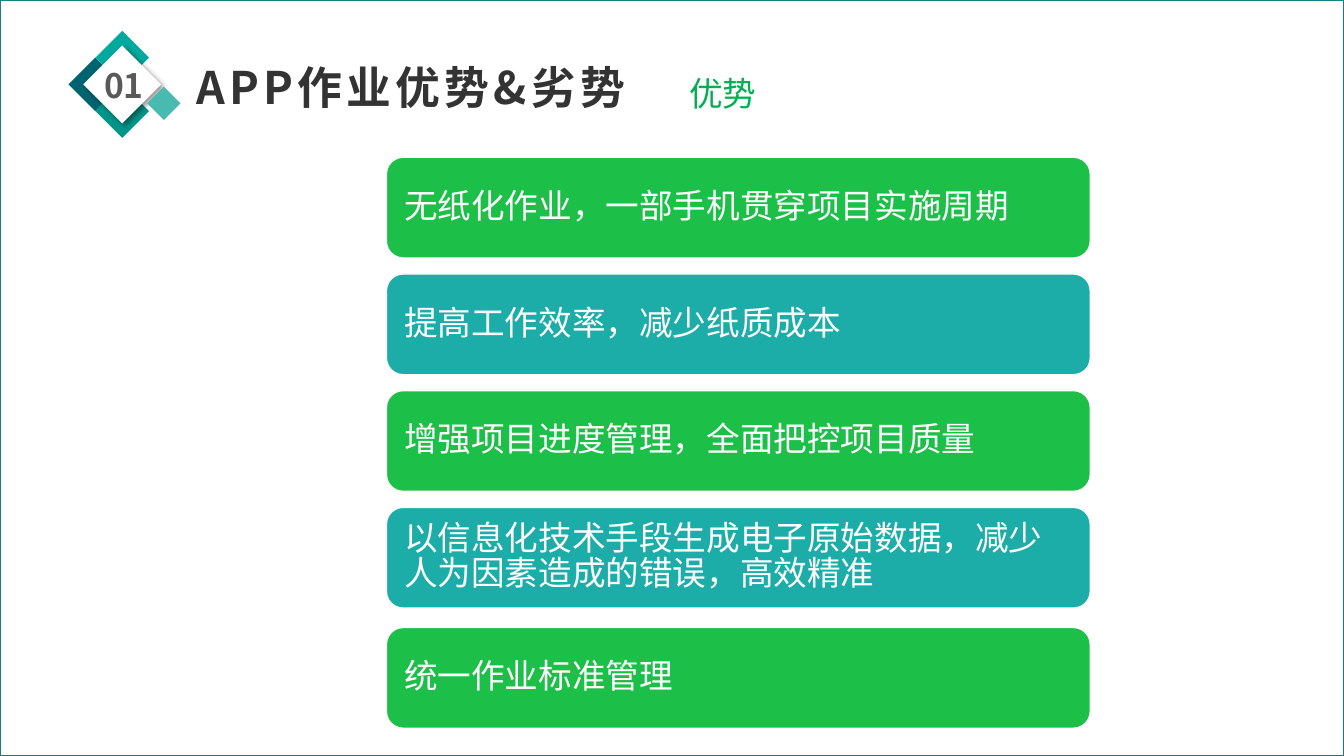
from lxml.etree import SubElement
from pptx import Presentation
from pptx.dml.color import RGBColor
from pptx.enum.shapes import MSO_SHAPE as Preset
from pptx.enum.text import MSO_ANCHOR as Anchor, PP_ALIGN as Align
from pptx.oxml.ns import qn
from pptx.util import Pt

WHITE = RGBColor(0xFF, 0xFF, 0xFF)
FRAME = RGBColor(0x15, 0x80, 0x7D)
DARK_TEAL = RGBColor(0x00, 0x64, 0x70)
TEAL = RGBColor(0x00, 0xA9, 0x9D)
MID_TEAL = RGBColor(0x00, 0x95, 0x89)
LIGHT_TEAL = RGBColor(0x49, 0xBA, 0xAF)
NUMBER_GRAY = RGBColor(0x59, 0x59, 0x59)
TITLE_GRAY = RGBColor(0x33, 0x33, 0x33)
SUBTITLE_GREEN = RGBColor(0x00, 0xB0, 0x50)
BAR_GREEN = RGBColor(0x1C, 0xBF, 0x47)
BAR_TEAL = RGBColor(0x1C, 0xAD, 0xA9)

WIDTH, HEIGHT = 960, 540

DIAMONDS = [
    (68, 60.3, 38.2, DARK_TEAL),
    (87.3, 41.2, 38.2, TEAL),
    (87.3, 79.4, 38.2, MID_TEAL),
    (87.3, 60.3, 55.6, WHITE),
    (117.1, 73.9, 23.8, LIGHT_TEAL),
]

ADVANTAGES = [
    (112.3, "无纸化作业，一部手机贯穿项目实施周期", 0.9),
    (195.7, "提高工作效率，减少纸质成本", 0.9),
    (279, "增强项目进度管理，全面把控项目质量", 0.9),
    (362.4, "以信息化技术手段生成电子原始数据，减少人为因素造成的错误，高效精准", 0.85),
    (448.2, "统一作业标准管理", 0.9),
]


class SlideBuilder:
    font_name = "Noto Sans CJK SC"

    def __init__(self, slide):
        self.slide = slide

    def shape(self, preset, left, top, width, height, fill, line=None):
        shape = self.slide.shapes.add_shape(preset, Pt(left), Pt(top), Pt(width), Pt(height))
        shape.shadow.inherit = False
        shape.fill.solid()
        shape.fill.fore_color.rgb = fill
        if line is None:
            shape.line.fill.background()
        else:
            shape.line.color.rgb = line
            shape.line.width = Pt(1)
        return shape

    def frame(self):
        shape = self.shape(Preset.RECTANGLE, 0, 0, WIDTH, HEIGHT, WHITE, FRAME)
        color = shape._element.spPr.find(qn("a:solidFill"))[0]
        SubElement(color, qn("a:alpha"), val="56000")

    def diamond(self, center_x, center_y, size, fill):
        return self.shape(Preset.DIAMOND, center_x - size / 2, center_y - size / 2, size, size, fill)

    def drop_shadow(self, shape):
        effects = shape._element.spPr.find(qn("a:effectLst"))
        shadow = SubElement(effects, qn("a:outerShdw"), blurRad=str(Pt(4)), dist=str(Pt(3)),
                            dir="2700000", algn="tl", rotWithShape="0")
        color = SubElement(shadow, qn("a:srgbClr"), val="000000")
        SubElement(color, qn("a:alpha"), val="40000")

    def set_text(self, shape, text, size, color, inset, bold=False, align=Align.LEFT,
                 line_spacing=1.0, tracking=0):
        frame = shape.text_frame
        frame.word_wrap = True
        frame.vertical_anchor = Anchor.MIDDLE
        frame.margin_left = frame.margin_right = Pt(inset)
        frame.margin_top = frame.margin_bottom = 0
        paragraph = frame.paragraphs[0]
        paragraph.text = text
        paragraph.alignment = align
        paragraph.line_spacing = line_spacing
        font = paragraph.font
        font.name = self.font_name
        font.size = Pt(size)
        font.bold = bold
        font.color.rgb = color
        properties = paragraph._p.pPr.find(qn("a:defRPr"))
        SubElement(properties, qn("a:ea"), typeface=self.font_name)
        if tracking:
            properties.set("spc", str(tracking * 100))

    def label(self, left, top, width, height, text, size, color, **style):
        box = self.slide.shapes.add_textbox(Pt(left), Pt(top), Pt(width), Pt(height))
        self.set_text(box, text, size, color, 7.2, **style)

    def bar(self, top, text, line_spacing, fill):
        shape = self.shape(Preset.ROUNDED_RECTANGLE, 276, top, 502.8, 72, fill, WHITE)
        self.set_text(shape, text, 24, WHITE, 9.2, line_spacing=line_spacing)


def main():
    presentation = Presentation()
    presentation.slide_width = Pt(WIDTH)
    presentation.slide_height = Pt(HEIGHT)
    builder = SlideBuilder(presentation.slides.add_slide(presentation.slide_layouts[6]))

    builder.frame()
    for center_x, center_y, size, fill in DIAMONDS:
        diamond = builder.diamond(center_x, center_y, size, fill)
        if fill == WHITE:
            builder.drop_shadow(diamond)
    builder.label(61.9, 43.5, 53.3, 34.8, "01", 24, NUMBER_GRAY, bold=True, align=Align.CENTER)
    builder.label(133.2, 38.5, 373, 46, "APP作业优势&劣势", 32, TITLE_GRAY, bold=True, tracking=3)

    for index, (top, text, line_spacing) in enumerate(ADVANTAGES):
        builder.bar(top, text, line_spacing, (BAR_GREEN, BAR_TEAL)[index % 2])
    builder.label(485.3, 48.5, 182.2, 36, "优势", 24, SUBTITLE_GREEN)

    presentation.save("out.pptx")


if __name__ == "__main__":
    main()
